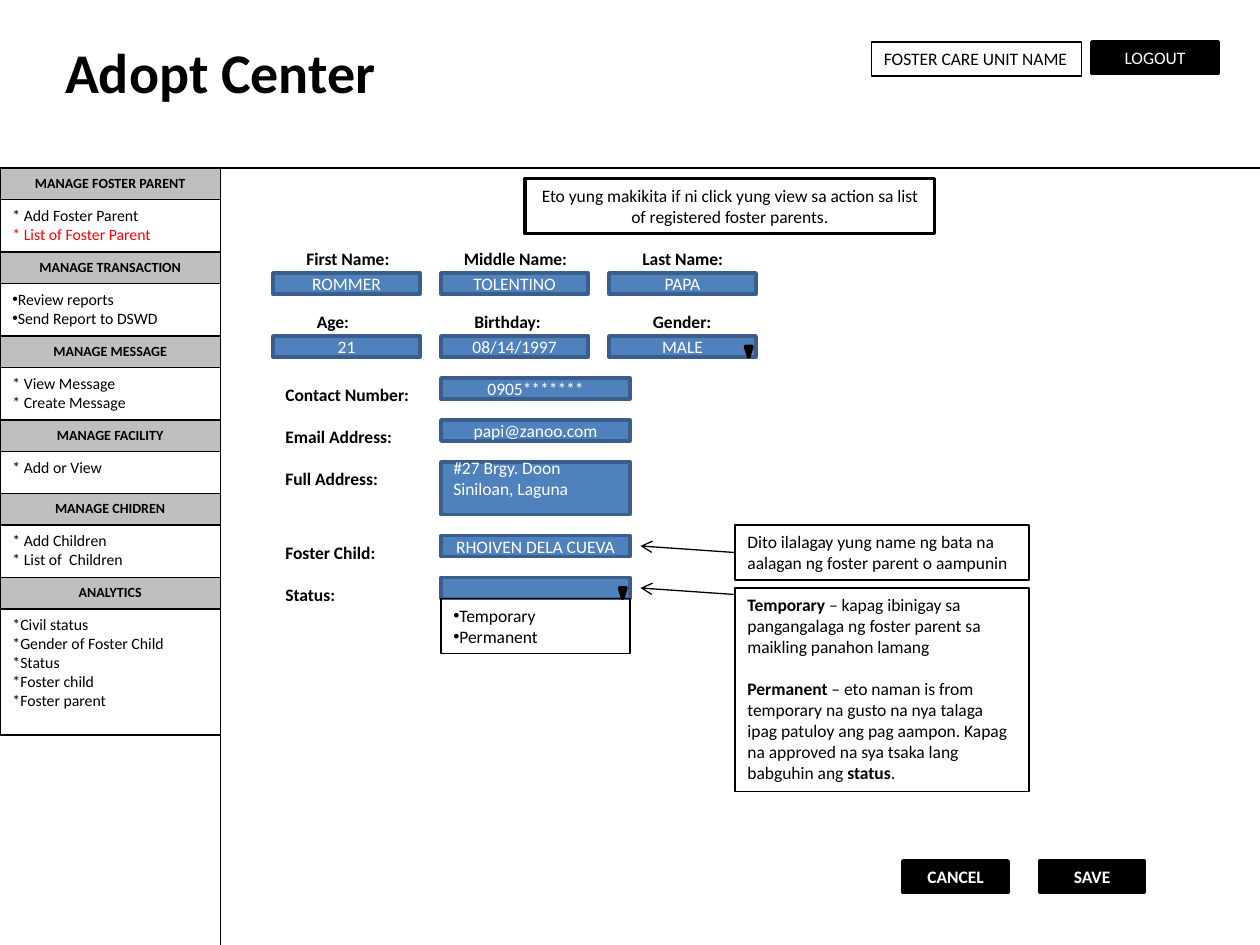
from lxml import etree
from pptx import Presentation
from pptx.dml.color import RGBColor
from pptx.enum.shapes import MSO_CONNECTOR, MSO_SHAPE
from pptx.enum.text import MSO_ANCHOR, MSO_AUTO_SIZE, PP_ALIGN
from pptx.oxml.ns import qn
from pptx.util import Pt

RECT, MERGE = MSO_SHAPE.RECTANGLE, MSO_SHAPE.FLOWCHART_MERGE
STRAIGHT = MSO_CONNECTOR.STRAIGHT
LEFT, CENTER = PP_ALIGN.LEFT, PP_ALIGN.CENTER
TOP, MIDDLE = MSO_ANCHOR.TOP, MSO_ANCHOR.MIDDLE
NO_FIT = MSO_AUTO_SIZE.NONE

PX = 9525  # 96 px to the inch
FONT = "Calibri"
COLORS = {
    "black": "000000", "white": "FFFFFF", "gray": "BFBFBF",
    "red": "FF0000", "blue": "4F81BD", "edge": "3A5F8C",
}


def rgb(name):
    return RGBColor.from_string(COLORS[name])


def emu(*lengths):
    return [n * PX for n in lengths]


class Page:
    """Draws styled elements on one slide."""

    def __init__(self, s):
        self.s = s

    def add_text(self, shape, paragraphs, size=10, color="black", bold=False,
                 align=LEFT, anchor=TOP, wrap=True, bullet=False, gap=0):
        """Fill a shape with paragraphs, each a string or a list of
        (text, overrides) runs."""
        tf = shape.text_frame
        tf.word_wrap = wrap
        tf.auto_size = NO_FIT
        tf.vertical_anchor = anchor
        for i, runs in enumerate(paragraphs):
            p = tf.add_paragraph() if i else tf.paragraphs[0]
            p.alignment = align
            if i and gap:
                p.space_before = Pt(gap)
            if bullet:
                pPr = p._p.get_or_add_pPr()
                etree.SubElement(pPr, qn("a:buFont")).set("typeface", "Arial")
                etree.SubElement(pPr, qn("a:buChar")).set("char", "•")
            for text, style in [(runs, {})] if isinstance(runs, str) else runs:
                r = p.add_run()
                r.text = text
                r.font.name = FONT
                r.font.size = Pt(size)
                r.font.bold = style.get("bold", bold)
                r.font.color.rgb = rgb(style.get("color", color))

    def title(self, text, x, y, w, h):
        sp = self.s.shapes.title
        sp.left, sp.top, sp.width, sp.height = emu(x, y, w, h)
        self.add_text(sp, [text], size=32, bold=True)

    def box(self, x, y, w, h, paragraphs=(), fill=None, line="black",
            weight=0.75, kind=RECT, **style):
        sp = self.s.shapes.add_shape(kind, *emu(x, y, w, h))
        sp.shadow.inherit = False
        if fill:
            sp.fill.solid()
            sp.fill.fore_color.rgb = rgb(fill)
        else:
            sp.fill.background()
        sp.line.color.rgb = rgb(line)
        sp.line.width = Pt(weight)
        if paragraphs:
            self.add_text(sp, paragraphs, **style)
        return sp

    def label(self, text, x, y, w):
        tb = self.s.shapes.add_textbox(*emu(x, y, w, 26))
        self.add_text(tb, [text], bold=True, wrap=False)

    def field(self, x, y, w, h=16, paragraphs=(), align=CENTER):
        return self.box(x, y, w, h, paragraphs, "blue", "edge", 2,
                        color="white", align=align, anchor=MIDDLE)

    def button(self, text, x, y, w, bold=True):
        self.box(x, y, w, 24, [text], "black", weight=2, color="white",
                 bold=bold, align=CENTER, anchor=MIDDLE)

    def drop_mark(self, x, y):
        self.box(x, y, 5, 8, fill="black", weight=2, kind=MERGE)

    def line(self, x1, y1, x2, y2, arrow=False):
        c = self.s.shapes.add_connector(STRAIGHT, *emu(x1, y1, x2, y2))
        c.line.color.rgb = rgb("black")
        c.line.width = Pt(0.75)
        if arrow:
            ln = c.line._get_or_add_ln()
            etree.SubElement(ln, qn("a:tailEnd")).set("type", "arrow")
        etree.SubElement(c._element.spPr, qn("a:effectLst"))
        return c


MENU = [  # heading, items, height of the item box, bulleted
    ("MANAGE FOSTER PARENT",
     ["* Add Foster Parent", [("* List of Foster Parent", {"color": "red"})]], 40, False),
    ("MANAGE TRANSACTION", ["Review reports", "Send Report to DSWD"], 40, True),
    ("MANAGE MESSAGE", ["* View Message", "* Create Message"], 40, False),
    ("MANAGE FACILITY", ["* Add or View"], 32, False),
    ("MANAGE CHIDREN", ["* Add Children", "* List of  Children"], 40, False),
    ("ANALYTICS", ["*Civil status", "*Gender of Foster Child", "*Status",
                   "*Foster child", "*Foster parent"], 96, False),
]
PERSON = [  # per row: label, label x, label width, value
    [("First Name:", 224, 84, "ROMMER"), ("Middle Name:", 344, 99, "TOLENTINO"),
     ("Last Name:", 480, 82, "PAPA")],
    [("Age:", 232, 47, "21"), ("Birthday:", 352, 77, "08/14/1997"),
     ("Gender:", 488, 64, "MALE")],
]
DETAILS = [  # label, label width, y, value
    ("Contact Number:", 118, 288, "0905*******"),
    ("Email Address:", 102, 320, "papi@zanoo.com"),
    ("Full Address:", 91, 352, "#27 Brgy. Doon Siniloan, Laguna"),
    ("Foster Child:", 92, 408, "RHOIVEN DELA CUEVA"),
    ("Status:", 59, 440, None),
]
STATUS_MEMO = [
    [("Temporary", {"bold": True}),
     (" – kapag ibinigay sa pangangalaga ng foster parent sa maikling panahon lamang", {})],
    [("Permanent", {"bold": True}),
     (" – eto naman is from temporary na gusto na nya talaga ipag patuloy ang pag "
      "aampon. Kapag na approved na sya tsaka lang babguhin ang ", {}),
     ("status", {"bold": True}), (".", {})],
]


def draw_sidebar(page):
    y = 128
    for heading, items, height, bullet in MENU:
        page.box(0, y, 168, 24, [heading], "gray", size=8, bold=True, align=CENTER)
        page.box(0, y + 24, 168, height, items, "white", size=9, bullet=bullet)
        y += 24 + height


def draw_form(page):
    for row, cells in enumerate(PERSON):
        y = 184 + 48 * row
        for col, (text, x, w, value) in enumerate(cells):
            page.label(text, x, y, w)
            page.field(208 + 128 * col, y + 24, 112, paragraphs=[value])
    for text, w, y, value in DETAILS:
        page.label(text, 208, y, w)
        if text == "Full Address:":
            sp = page.field(336, y, 144, 40, [value], LEFT)
            sp.text_frame.margin_bottom = 20 * PX
        else:
            page.field(336, y, 144, paragraphs=[value] if value else ())
    page.drop_mark(568, 264)
    page.drop_mark(472, 448)
    page.box(336, 456, 144, 42, ["Temporary", "Permanent"], bullet=True)


def draw_memos(page):
    page.box(400, 136, 312, 42,
             ["Eto yung makikita if ni click yung view sa action sa list of "
              "registered foster parents."], "white", weight=2, align=CENTER)
    child = page.box(560, 400, 224, 42,
                     ["Dito ilalagay yung name ng bata na aalagan ng foster parent o aampunin"])
    page.box(560, 448, 224, 155, STATUS_MEMO, gap=12)
    page.line(560, 421, 488, 416, arrow=True).begin_connect(child, 1)
    page.line(560, 453, 488, 448, arrow=True)


def main():
    prs = Presentation()
    prs.slide_width, prs.slide_height = emu(960, 720)
    page = Page(prs.slides.add_slide(prs.slide_layouts[5]))
    page.title("Adopt Center", 40, 24, 424, 61)
    page.line(168, 128, 168, 720)
    page.line(0, 128, 960, 128)
    page.box(664, 32, 160, 26, ["FOSTER CARE UNIT NAME"])
    page.button("LOGOUT", 832, 32, 96, bold=False)
    draw_sidebar(page)
    draw_form(page)
    draw_memos(page)
    page.button("CANCEL", 688, 656, 80)
    page.button("SAVE", 792, 656, 80)
    prs.save("out.pptx")


if __name__ == "__main__":
    main()
